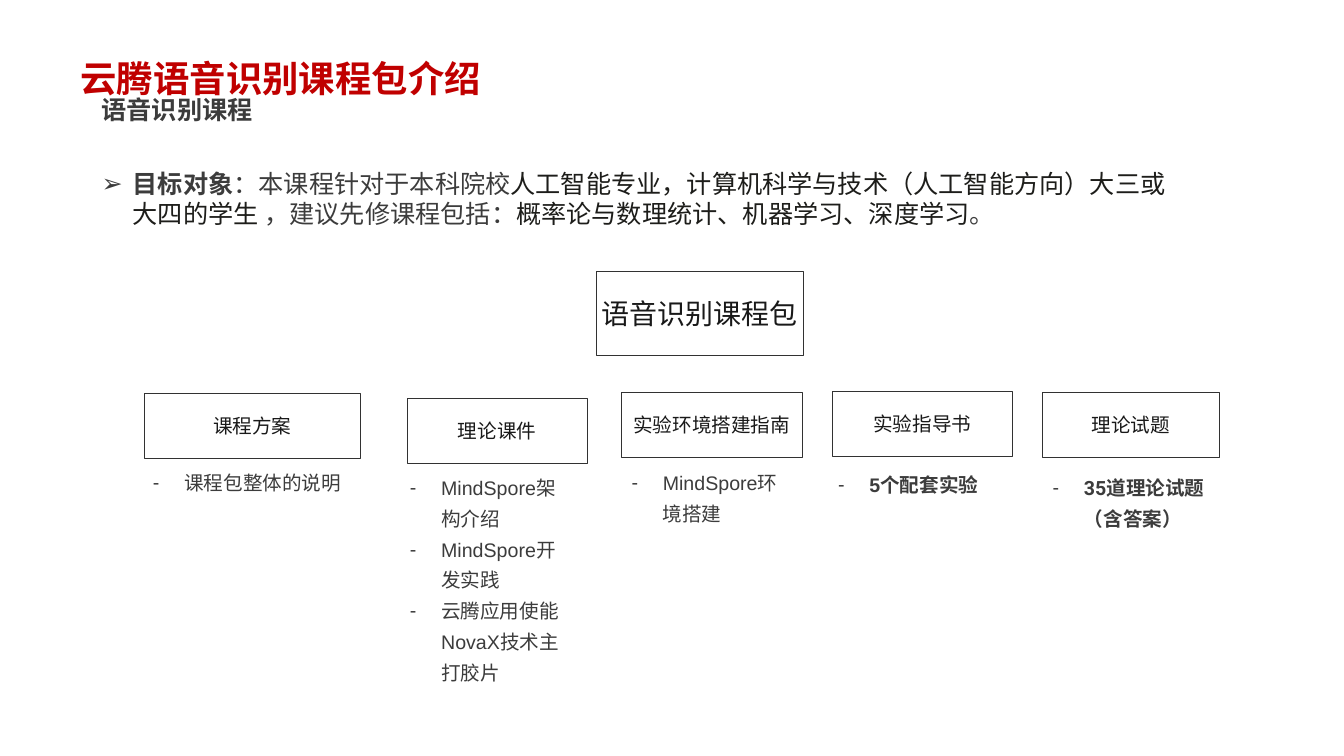
from lxml import etree
from pptx import Presentation
from pptx.dml.color import RGBColor
from pptx.enum import lang, shapes, text
from pptx.oxml import ns
from pptx.util import Inches, Pt

RED, GREY, INK, DARK, WHITE, BORDER = "C00000", "3C3C3C", "1D1D1A", "191919", "FFFFFF", "323232"
INDENT = Inches(0.31)

# title, font, box (left, top, width), list (left, top, width, height), list font, bold, items
MODULES = [
    ("课程方案", "Arial", (1.43, 3.9, 2.15), (1.42, 4.55, 2.15, 0.43), "Roboto", False,
     ["课程包整体的说明"]),
    ("理论课件", "Arial", (4.04, 3.95, 1.79), (3.97, 4.6, 1.79, 2.23), "Arial", False,
     ["MindSpore架构介绍", "MindSpore开发实践", "云腾应用使能NovaX技术主打胶片"]),
    ("实验环境搭建指南", "Arial", (6.17, 3.89, 1.79), (6.17, 4.55, 1.79, 0.69), "Arial", False,
     ["MindSpore环境搭建"]),
    ("实验指导书", "Roboto", (8.26, 3.88, 1.79), (8.22, 4.57, 1.79, 0.38), "Arial", True,
     ["5个配套实验"]),
    ("理论试题", "Roboto", (10.35, 3.89, 1.75), (10.35, 4.6, 1.75, 0.82), "Roboto", True,
     ["35道理论试题（含答案）"]),
]


def rgb(value):
    return RGBColor.from_string(value)


def write_run(paragraph, content, size=14, font="Arial", color=GREY, bold=False):
    run = paragraph.add_run()
    run.text = content
    run.font.size = Pt(size)
    run.font.name = font
    run.font.bold = bold
    run.font.color.rgb = rgb(color)
    run.font.language_id = lang.MSO_LANGUAGE_ID.SIMPLIFIED_CHINESE


def add_bullet(paragraph, symbol):
    properties = paragraph._p.get_or_add_pPr()
    properties.set("marL", str(INDENT))
    properties.set("indent", str(-INDENT))
    bullet_font = etree.SubElement(properties, ns.qn("a:buFont"))
    bullet_font.set("typeface", "Arial")
    bullet = etree.SubElement(properties, ns.qn("a:buChar"))
    bullet.set("char", symbol)


def remove_margins(frame):
    frame.margin_left = frame.margin_right = frame.margin_top = frame.margin_bottom = 0
    frame.vertical_anchor = text.MSO_ANCHOR.MIDDLE


def add_text_frame(slide, *place):
    frame = slide.shapes.add_textbox(*map(Inches, place)).text_frame
    frame.word_wrap = True
    return frame


def add_box(slide, label, left, top, width, height=0.65, **style):
    box = slide.shapes.add_shape(
        shapes.MSO_SHAPE.RECTANGLE, *map(Inches, (left, top, width, height)))
    box.shadow.inherit = False
    box.fill.solid()
    box.fill.fore_color.rgb = rgb(WHITE)
    box.line.color.rgb = rgb(BORDER)
    box.line.width = Pt(0.6)
    remove_margins(box.text_frame)
    paragraph = box.text_frame.paragraphs[0]
    paragraph.alignment = text.PP_ALIGN.CENTER
    write_run(paragraph, label, color=DARK, **style)


def add_list(slide, items, place, **style):
    frame = add_text_frame(slide, *place)
    for index, item in enumerate(items):
        paragraph = frame.add_paragraph() if index else frame.paragraphs[0]
        paragraph.line_spacing = Pt(22)
        add_bullet(paragraph, "-")
        write_run(paragraph, item, **style)


def add_headings(slide):
    title = add_text_frame(slide, 0.8, 0.49, 11.74, 0.53)
    remove_margins(title)
    title.paragraphs[0].line_spacing = Pt(34.4)
    write_run(title.paragraphs[0], "云腾语音识别课程包介绍", size=26, color=RED, bold=True)
    subtitle = add_text_frame(slide, 0.91, 0.89, 3.06, 0.4)
    write_run(subtitle.paragraphs[0], "语音识别课程", size=18, bold=True)


def add_audience(slide):
    paragraph = add_text_frame(slide, 0.91, 1.62, 10.9, 0.71).paragraphs[0]
    add_bullet(paragraph, "➢")
    write_run(paragraph, "目标对象", size=18, bold=True)
    for content, color in [
        ("：本课程针对于本科院校", GREY),
        ("人工智能专业，计算机科学与技术（人工智能方向）大三或大四的学生 ", INK),
        ("，建议先修课程包括：", GREY),
        ("概率论与数理统计、机器学习、深度学习", INK),
        ("。", GREY),
    ]:
        write_run(paragraph, content, size=18, color=color)


def main():
    deck = Presentation()
    deck.slide_width, deck.slide_height = Inches(13.34), Inches(7.5)
    slide = deck.slides.add_slide(deck.slide_layouts[6])
    add_headings(slide)
    add_audience(slide)
    add_box(slide, "语音识别课程包", 5.92, 2.69, 2.05, 0.84, size=20)
    for label, font, box_place, list_place, list_font, bold, items in MODULES:
        add_box(slide, label, *box_place, font=font)
        add_list(slide, items, list_place, font=list_font, bold=bold)
    deck.save("out.pptx")


if __name__ == "__main__":
    main()
